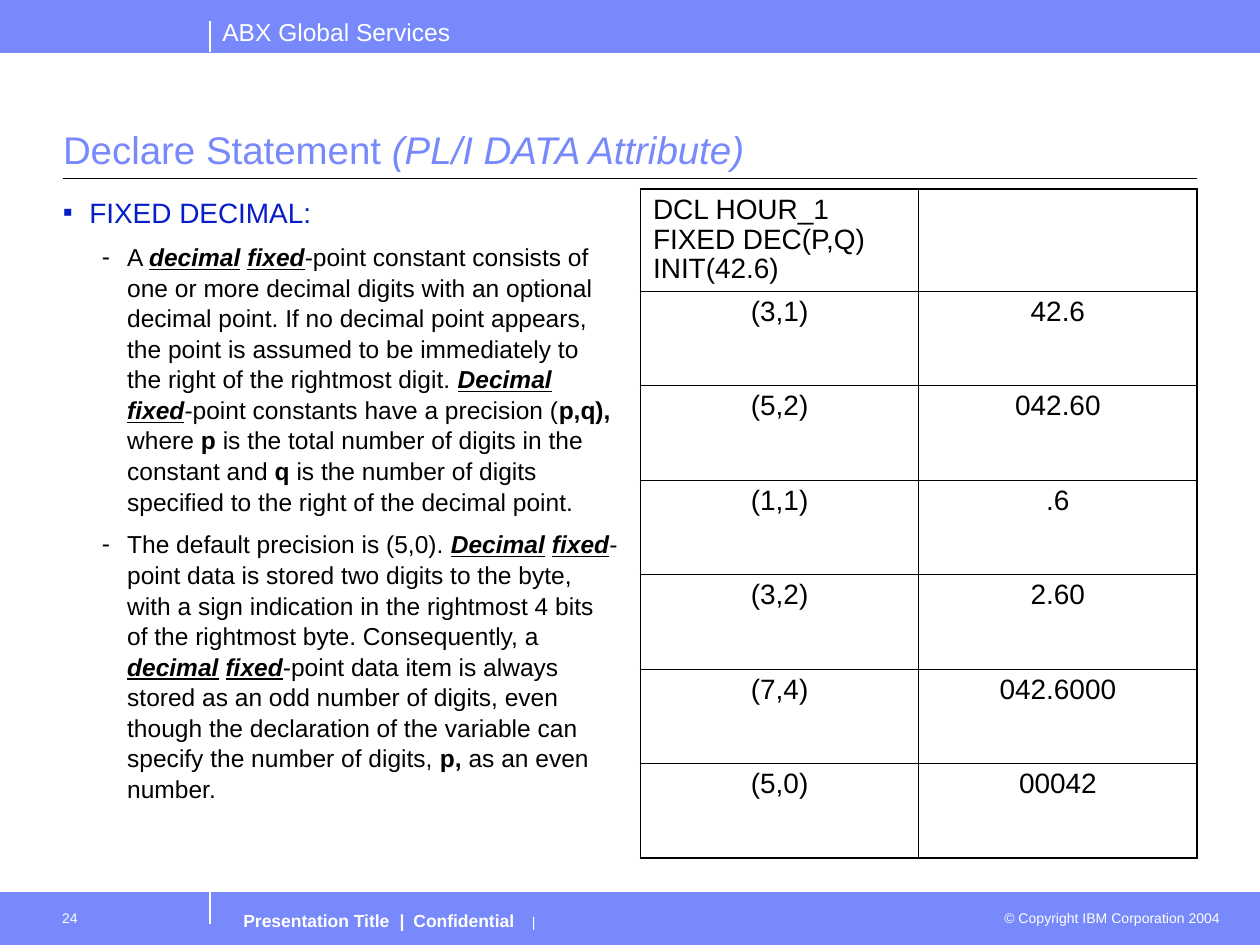
from lxml import etree
from pptx import Presentation, util as u
from pptx.dml.color import RGBColor
from pptx.enum import shapes, text
from pptx.oxml.ns import qn

COLORS = {"band": "7889FB", "heading": "061DC8", "ink": "000000", "paper": "FFFFFF"}
FONT = "Arial"
COLUMNS, ROWS = 60, 90
TERM = dict(bold=True, italic=True, underline=True)
BOLD = dict(bold=True)
NO_INSET = (0, 0.05, 0, 0.05)


def rgb(name):
    return RGBColor.from_string(COLORS[name])


def add_text(para, words, size=14, color="ink", bold=False, italic=False, underline=False):
    span = para.add_run()
    span.text = words
    font = span.font
    font.name, font.size, font.color.rgb = FONT, u.Pt(size), rgb(color)
    font.bold, font.italic, font.underline = bold, italic, underline


class SlideBuilder:
    def __init__(self, deck):
        self.deck = deck
        self.page = deck.slides.add_slide(deck.slide_layouts[5])

    def x(self, columns):
        return round(self.deck.slide_width * columns / COLUMNS)

    def y(self, rows):
        return round(self.deck.slide_height * rows / ROWS)

    def area(self, left, top, width, height):
        return self.x(left), self.y(top), self.x(width), self.y(height)

    def band(self, top):
        box = self.page.shapes.add_shape(
            shapes.MSO_SHAPE.RECTANGLE, *self.area(0, top, COLUMNS, 5))
        box.shadow.inherit = False
        box.fill.solid()
        box.fill.fore_color.rgb = rgb("band")
        box.line.color.rgb = rgb("band")
        box.line.width = u.Pt(0.75)

    def line(self, start, end, color, width=0.75):
        line = self.page.shapes.add_connector(
            shapes.MSO_CONNECTOR.STRAIGHT,
            self.x(start[0]), self.y(start[1]), self.x(end[0]), self.y(end[1]))
        line.line.color.rgb = rgb(color)
        line.line.width = u.Pt(width)
        etree.SubElement(line._element.spPr, qn("a:effectLst"))

    def frame(self, box, insets, wrap=True):
        frame = box.text_frame
        frame.word_wrap = wrap
        frame.auto_size = text.MSO_AUTO_SIZE.NONE
        (frame.margin_left, frame.margin_top,
         frame.margin_right, frame.margin_bottom) = map(u.Inches, insets)
        return frame

    def text_box(self, place, insets=(0.1, 0.05, 0.1, 0.05), wrap=True):
        return self.frame(self.page.shapes.add_textbox(*self.area(*place)), insets, wrap)

    def label(self, place, words, align=text.PP_ALIGN.LEFT, insets=(0.1, 0.05, 0.1, 0.05),
              wrap=True, **style):
        para = self.text_box(place, insets, wrap).paragraphs[0]
        para.alignment = align
        add_text(para, words, color="paper", **style)

    def footer(self, place, spans, stops):
        para = self.text_box(place, (0.1, 0.07, 0.1, 0.05)).paragraphs[0]
        tabs = etree.SubElement(para._p.get_or_add_pPr(), qn("a:tabLst"))
        for stop in stops:
            etree.SubElement(tabs, qn("a:tab"), pos=str(u.Inches(stop)), algn="l")
        for words, style in spans:
            add_text(para, words, color="paper", **style)

    def title(self, place, spans):
        box = self.page.shapes.title
        box.left, box.top, box.width, box.height = self.area(*place)
        frame = self.frame(box, NO_INSET)
        frame.vertical_anchor = text.MSO_ANCHOR.BOTTOM
        para = frame.paragraphs[0]
        para.alignment = text.PP_ALIGN.LEFT
        for words, style in spans:
            add_text(para, words, size=22, color="band", **style)

    def bullet(self, para, mark, color, indent, hang):
        props = para._p.get_or_add_pPr()
        props.set("marL", str(u.Inches(indent)))
        props.set("indent", str(-u.Inches(hang)))
        tint = etree.SubElement(props, qn("a:buClr"))
        etree.SubElement(tint, qn("a:srgbClr"), val=COLORS[color])
        etree.SubElement(props, qn("a:buFont"), typeface=FONT)
        etree.SubElement(props, qn("a:buChar"), char=mark)

    def bullets(self, place, heading, points):
        frame = self.text_box(place, NO_INSET)
        para = frame.paragraphs[0]
        self.bullet(para, "▪", "heading", 0.21, 0.21)
        add_text(para, heading, size=16, color="heading")
        for point in points:
            para = frame.add_paragraph()
            para.level = 1
            self.bullet(para, "-", "ink", 0.51, 0.2)
            para.space_before = u.Pt(7)
            para.line_spacing = 1.04
            for words, style in point:
                add_text(para, words, **style)

    def borders(self, cell, outer):
        props = cell._tc.get_or_add_tcPr()
        for side in "LRTB":
            width = 1.08 if outer[side] else 0.45
            edge = etree.SubElement(props, qn("a:ln" + side), w=str(u.Pt(width)))
            fill = etree.SubElement(edge, qn("a:solidFill"))
            etree.SubElement(fill, qn("a:srgbClr"), val=COLORS["ink"])

    def table(self, place, rows):
        count, width = len(rows), len(rows[0])
        table = self.page.shapes.add_table(count, width, *self.area(*place)).table
        for r, row in enumerate(rows):
            for c, words in enumerate(row):
                cell = table.cell(r, c)
                self.borders(cell, {"L": c == 0, "R": c == width - 1,
                                    "T": r == 0, "B": r == count - 1})
                cell.fill.background()
                para = cell.text_frame.paragraphs[0]
                para.line_spacing = 0.96
                if r:
                    para.alignment = text.PP_ALIGN.CENTER
                if words:
                    add_text(para, words, size=16)


def main():
    deck = Presentation()
    deck.slide_width, deck.slide_height = u.Inches(10), u.Inches(7.5)
    slide = SlideBuilder(deck)

    for top, edge in ((85, 85), (0, 5)):
        slide.band(top)
        slide.line((0, edge), (COLUMNS, edge), "band", 0.5)
    for top in (2, 85):
        slide.line((10, top + 3), (10, top), "paper")
    slide.line((3, 17), (57, 17), "ink")

    slide.label((10, 1, 11.8, 4), "ABX Global Services", wrap=False, size=14)
    slide.label((47, 86, 11.7, 3), "© Copyright IBM Corporation 2004",
                align=text.PP_ALIGN.RIGHT, size=8)
    slide.label((2, 85.8, 8, 4.2), "24", insets=(0.16, 0.07, 0.1, 0.05), size=8)
    slide.footer((11, 85.8, 27, 4.2),
                 [("Presentation Title\t|\tConfidential", dict(size=10, bold=True)),
                  ("\t|", dict(size=8))], (1.24, 1.35, 2.29))

    slide.title((3, 6, 54, 11), [("Declare Statement ", {}),
                                 ("(PL/I DATA Attribute)", dict(italic=True))])
    lower_term = [("decimal", TERM), (" ", {}), ("fixed", TERM)]
    upper_term = [("Decimal", TERM), (" ", {}), ("fixed", TERM)]
    slide.bullets((3, 18, 26.5, 66), "FIXED DECIMAL:", [
        [("A ", {}), *lower_term,
         ("-point constant consists of one or more decimal digits with an optional decimal "
          "point. If no decimal point appears, the point is assumed to be immediately to the "
          "right of the rightmost digit. ", {}),
         *upper_term, ("-point constants have a precision (", {}), ("p,q),", BOLD),
         (" where ", {}), ("p", BOLD),
         (" is the total number of digits in the constant and ", {}), ("q", BOLD),
         (" is the number of digits specified to the right of the decimal point.", {})],
        [("The default precision is (5,0). ", {}), *upper_term,
         ("-point data is stored two digits to the byte, with a sign indication in the "
          "rightmost 4 bits of the rightmost byte. Consequently, a ", {}),
         *lower_term,
         ("-point data item is always stored as an odd number of digits, even though the "
          "declaration of the variable can specify the number of digits, ", {}),
         ("p,", BOLD), (" as an even number.", {})],
    ])
    slide.table((30.5, 18, 26.5, 63), [
        ("DCL HOUR_1 FIXED DEC(P,Q) INIT(42.6)", ""),
        ("(3,1)", "42.6"), ("(5,2)", "042.60"), ("(1,1)", ".6"),
        ("(3,2)", "2.60"), ("(7,4)", "042.6000"), ("(5,0)", "00042"),
    ])
    deck.save("out.pptx")


if __name__ == "__main__":
    main()
